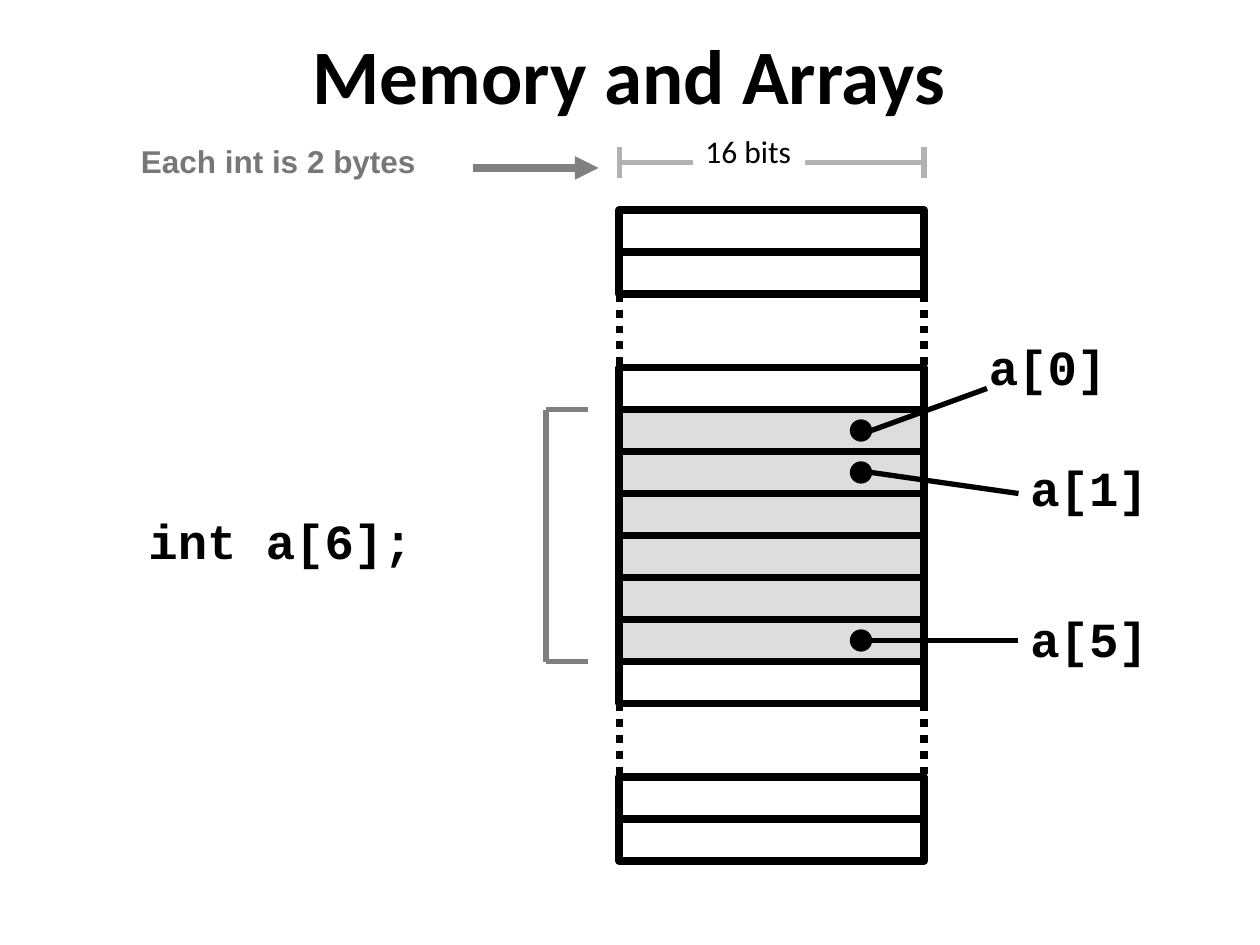
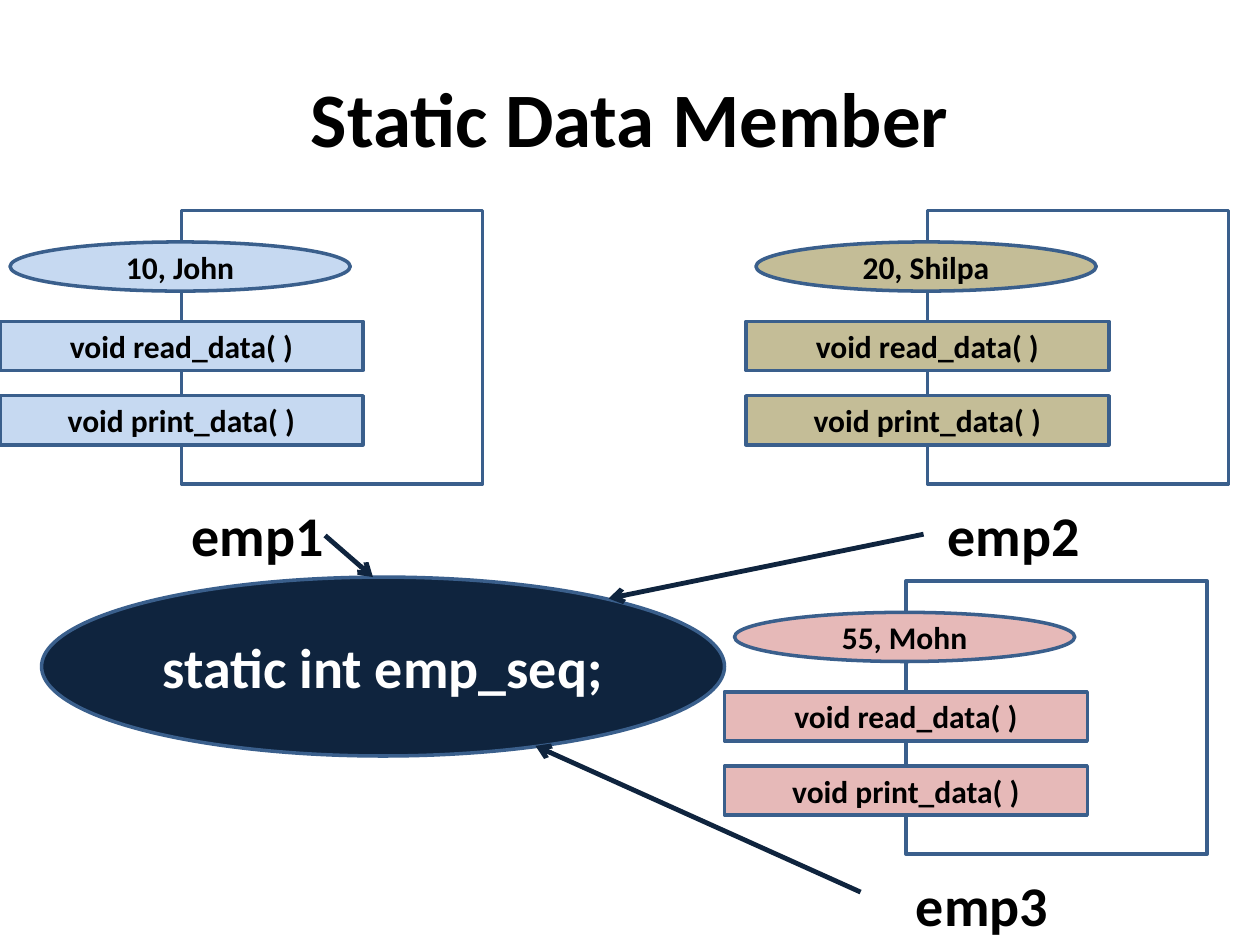
import pptx
import pptx.util
import pptx.dml.color
import pptx.enum.dml
import pptx.enum.shapes
import pptx.enum.text
import pptx.oxml
import pptx.oxml.ns

SLIDE_SIZE = (10, 7.5)
UNIT = 1 / 12
INK, PAPER = "000000", "FFFFFF"
GRAY, NOTE_GRAY, RULER_GRAY, ARRAY_GRAY = "808080", "777777", "B2B2B2", "DDDDDD"
NAVY, EDGE = "0F243E", "3A5F8C"
BODY, CODE, LABEL = "Calibri", "Courier New", "Arial"
RECT = pptx.enum.shapes.MSO_SHAPE.RECTANGLE
OVAL = pptx.enum.shapes.MSO_SHAPE.OVAL

TITLES = {
    "memory": ("Memory and Arrays", (2.33, 0.17, 5.33, 0.83)),
    "static": ("Static Data Member", (0.5, 0.3, 9, 1.25)),
}

# Memory slide: lengths in twelfths of an inch
CELL_LEFT, CELL_RIGHT, CELL_HEIGHT = 59, 88, 4
BLOCKS = [
    (35, [None] + [ARRAY_GRAY] * 6 + [None]),
    (20, [None] * 2),
    (74, [None] * 2),
]
GAPS = [(67, 74), (28, 35)]
BRACKET_LEFT, BRACKET_RIGHT, ARRAY_TOP, ARRAY_BOTTOM = 52, 56, 39, 63
ELEMENTS = [
    ("a[0]", 0, (94, 37), (7.75, 2.62)),
    ("a[1]", 1, (97, 47), (8.08, 3.58)),
    ("a[5]", 5, (97, 61), (8.08, 4.78)),
]
DOT_LEFT, DOT_SIZE = 81, 2
RULER_TOP, RULER_MIDDLE, RULER_BOTTOM = 14, 15.5, 17

# Static member slide: lengths in inches
METHODS = ["void read_data( )", "void print_data( )"]
OBJECTS = [
    ("emp1", "10, John", "C6D9F1", (0, 1.67), 1.42),
    ("emp2", "20, Shilpa", "C4BD97", (5.92, 1.67), 1.5),
    ("emp3", "55, Mohn", "E6B9B8", (5.75, 4.61), 1.42),
]
SHARED = ("static int emp_seq;", (0.33, 4.58, 5.42, 1.42))
LINKS = [
    ((7.33, 4.24), (4.83, 4.75)),
    ((2.58, 4.25), (2.96, 4.58)),
    ((6.83, 7.08), (4.25, 5.92)),
]


def color(value):
    return pptx.dml.color.RGBColor.from_string(value)


def inches(values):
    return [pptx.util.Inches(value) for value in values]


def units(*values):
    return [value * UNIT for value in values]


def write(shape, text, size=18, font=BODY, ink=INK, bold=True, wrap=True,
          centered=False):
    frame = shape.text_frame
    frame.word_wrap = wrap
    anchors = pptx.enum.text.MSO_ANCHOR
    frame.vertical_anchor = anchors.MIDDLE if centered else anchors.TOP
    paragraph = frame.paragraphs[0]
    aligns = pptx.enum.text.PP_ALIGN
    paragraph.alignment = aligns.CENTER if centered else aligns.LEFT
    run = paragraph.add_run()
    run.text = text
    run.font.size = pptx.util.Pt(size)
    run.font.name = font
    run.font.bold = bold
    run.font.color.rgb = color(ink)


def add_text(slide, text, box, **style):
    write(slide.shapes.add_textbox(*inches(box)), text, **style)


def add_shape(slide, kind, box, fill=None, edge=None, width=2):
    shape = slide.shapes.add_shape(kind, *inches(box))
    shape.shadow.inherit = False
    if fill:
        shape.fill.solid()
        shape.fill.fore_color.rgb = color(fill)
    else:
        shape.fill.background()
    if edge:
        shape.line.color.rgb = color(edge)
        shape.line.width = pptx.util.Pt(width)
    else:
        shape.line.fill.background()
    return shape


def add_line(slide, start, end, ink, width, dotted=False, arrow=None):
    straight = pptx.enum.shapes.MSO_CONNECTOR.STRAIGHT
    line = slide.shapes.add_connector(straight, *inches((*start, *end)))
    line.line.color.rgb = color(ink)
    line.line.width = pptx.util.Pt(width)
    if dotted:
        line.line.dash_style = pptx.enum.dml.MSO_LINE.ROUND_DOT
    if arrow:
        tail = pptx.oxml.parse_xml(
            f'<a:tailEnd {pptx.oxml.ns.nsdecls("a")} type="{arrow}"/>')
        line.line._get_or_add_ln().append(tail)
    line._element.spPr.append(
        pptx.oxml.parse_xml(f'<a:effectLst {pptx.oxml.ns.nsdecls("a")}/>'))


def add_slide(deck, topic):
    slide = deck.slides.add_slide(deck.slide_layouts[6])
    title, box = TITLES[topic]
    add_text(slide, title, box, size=44, centered=True)
    return slide


def draw_memory(slide):
    for top, fills in BLOCKS:
        for row, fill in enumerate(fills):
            box = units(CELL_LEFT, top + row * CELL_HEIGHT,
                        CELL_RIGHT - CELL_LEFT, CELL_HEIGHT)
            add_shape(slide, RECT, box, fill, INK, 4.5)
    for top, bottom in GAPS:
        for side in (CELL_LEFT, CELL_RIGHT):
            add_line(slide, units(side, top), units(side, bottom), INK, 4.5,
                     dotted=True)


def draw_array(slide):
    code = dict(size=28, font=CODE, wrap=False)
    add_text(slide, "int a[6];", (1.08, 4, 2.32, 0.57), **code)
    add_line(slide, units(BRACKET_LEFT, ARRAY_TOP),
             units(BRACKET_LEFT, ARRAY_BOTTOM), GRAY, 3)
    for edge in (ARRAY_TOP, ARRAY_BOTTOM):
        add_line(slide, units(BRACKET_LEFT, edge),
                 units(BRACKET_RIGHT, edge), GRAY, 3)
    for name, index, target, corner in ELEMENTS:
        middle = ARRAY_TOP + (index + 0.5) * CELL_HEIGHT
        add_text(slide, name, (*corner, 1.14, 0.57), **code)
        add_line(slide, units(DOT_LEFT + DOT_SIZE, middle), units(*target),
                 INK, 3)
        dot = units(DOT_LEFT, middle - DOT_SIZE / 2, DOT_SIZE, DOT_SIZE)
        add_shape(slide, OVAL, dot, INK, INK, 0.75)


def draw_ruler(slide):
    for side in (CELL_LEFT, CELL_RIGHT):
        add_line(slide, units(side, RULER_TOP), units(side, RULER_BOTTOM),
                 RULER_GRAY, 3)
    add_line(slide, units(CELL_RIGHT, RULER_MIDDLE),
             units(CELL_LEFT, RULER_MIDDLE), RULER_GRAY, 3)
    width_label = add_shape(slide, RECT, (5.5, 1, 0.89, 0.4), PAPER)
    write(width_label, "16 bits", bold=False, wrap=False)
    add_text(slide, "Each int is 2 bytes", (1.02, 1.08, 2.4, 0.4),
             font=LABEL, ink=NOTE_GRAY, wrap=False)
    add_line(slide, units(45, 16), units(57, 16), GRAY, 4.5, arrow="triangle")


def draw_object(slide, name, record, fill, corner, name_left):
    left, top = corner
    add_shape(slide, RECT, (left + 1.44, top, 2.39, 2.17), None, EDGE)
    members = [(OVAL, record, (left + 0.08, top + 0.25, 2.7, 0.39))]
    members += [(RECT, method, (left, top + 0.88 + row * 0.59, 2.88, 0.39))
                for row, method in enumerate(METHODS)]
    for kind, text, box in members:
        write(add_shape(slide, kind, box, fill, EDGE), text, centered=True)
    add_text(slide, name, (left + name_left, top + 2.25, 1.58, 0.64), size=32)


def draw_shared(slide):
    text, box = SHARED
    write(add_shape(slide, OVAL, box, NAVY, EDGE), text, size=32, ink=PAPER,
          centered=True)
    for start, end in LINKS:
        add_line(slide, start, end, NAVY, 2.75, arrow="arrow")


def main():
    deck = pptx.Presentation()
    deck.slide_width, deck.slide_height = inches(SLIDE_SIZE)
    memory = add_slide(deck, "memory")
    draw_memory(memory)
    draw_array(memory)
    draw_ruler(memory)
    static = add_slide(deck, "static")
    for item in OBJECTS:
        draw_object(static, *item)
    draw_shared(static)
    deck.save("out.pptx")


if __name__ == "__main__":
    main()
